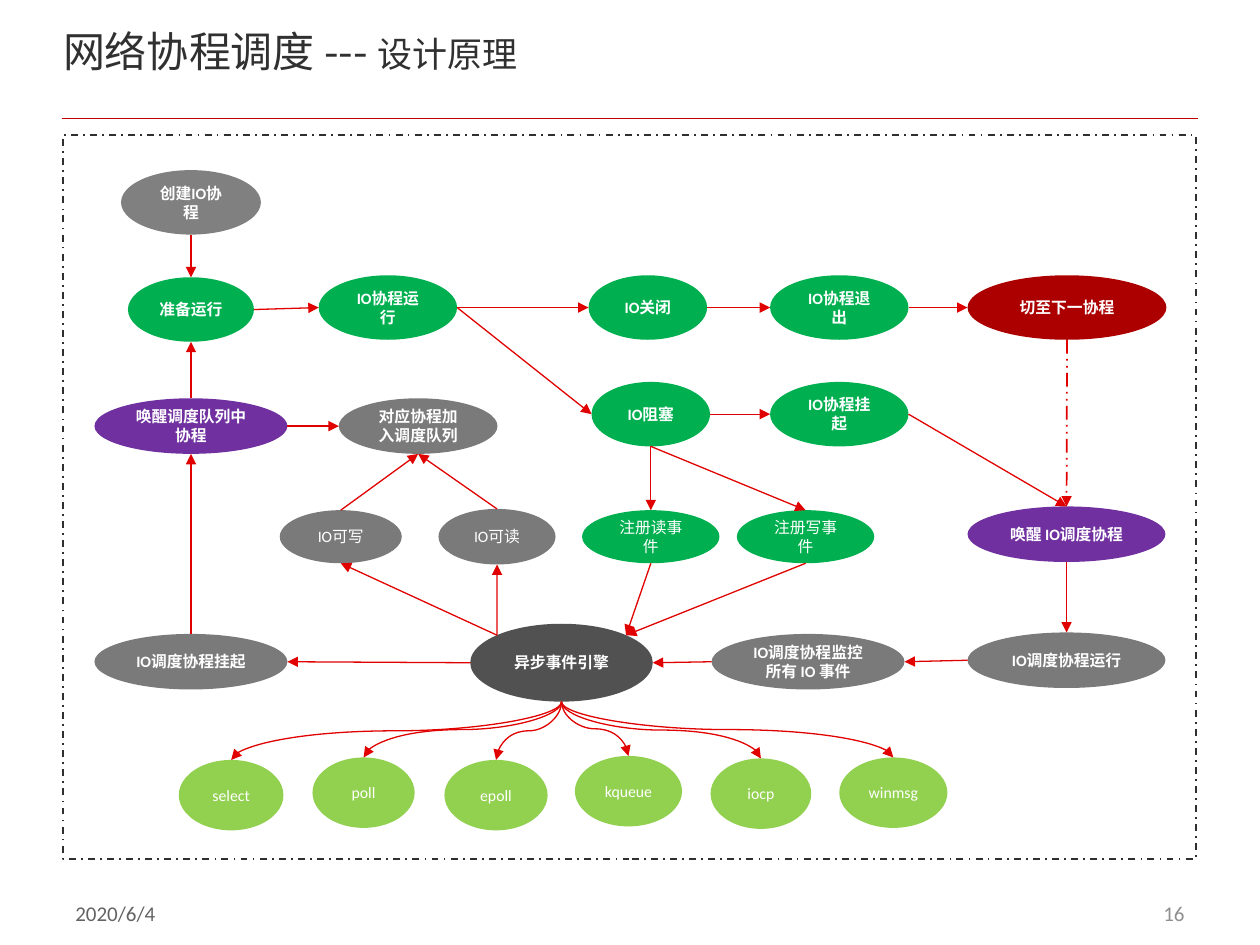
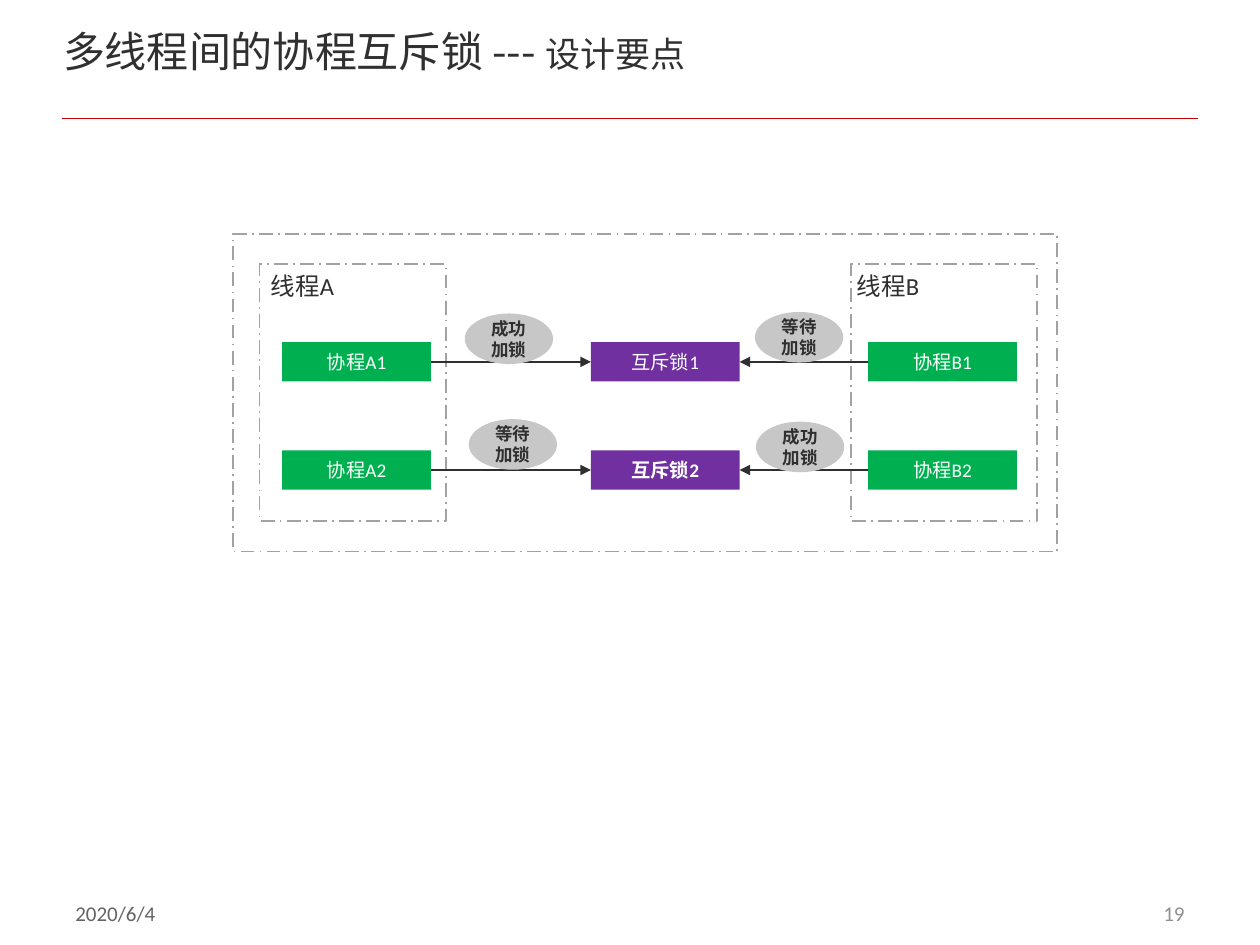
from math import cos, pi, sin

from lxml.etree import SubElement
from pptx import Presentation
from pptx.dml.color import RGBColor
from pptx.enum.dml import MSO_LINE as Dash
from pptx.enum.shapes import MSO_CONNECTOR as Conn, MSO_SHAPE as Shape
from pptx.enum.text import MSO_ANCHOR as Anchor, MSO_AUTO_SIZE as Fit, PP_ALIGN as Align
from pptx.oxml.ns import qn
from pptx.util import Cm, Pt

WHITE = RGBColor(0xFF, 0xFF, 0xFF)
INK = RGBColor(0x2F, 0x2F, 0x2F)
HEAD = RGBColor(0x30, 0x30, 0x30)
DATE = RGBColor(0x63, 0x63, 0x63)
PAGE = RGBColor(0x8F, 0x8F, 0x8F)
RULE = RGBColor(0xC0, 0x00, 0x00)
RED = RGBColor(0xE1, 0x00, 0x00)
DARK = RGBColor(0xAC, 0x00, 0x00)
GREEN = RGBColor(0x00, 0xB0, 0x50)
LIME = RGBColor(0x92, 0xD0, 0x50)
PURPLE = RGBColor(0x70, 0x30, 0xA0)
COAL = RGBColor(0x51, 0x51, 0x51)
GREY = RGBColor(0x7A, 0x7A, 0x7A)
STONE = RGBColor(0x80, 0x80, 0x80)
SILVER = RGBColor(0xC7, 0xC7, 0xC7)
EDGE = RGBColor(0xA2, 0xA2, 0xA2)
SANS = "Calibri"
CJK = "Noto Sans CJK SC"
TOP, NW, LEFT, BOTTOM, RIGHT, NE = 0, 1, 2, 4, 6, 7


def style(para, size, color, bold=False, align=None):
    para.alignment = align
    font = para.font
    font.name, font.size, font.bold = SANS, Pt(size), bold
    font.color.rgb = color


def label(slide, text, box, size, color, align=Align.LEFT, anchor=Anchor.TOP):
    frame = slide.shapes.add_textbox(*map(Cm, box)).text_frame
    frame.word_wrap = True
    frame.vertical_anchor = anchor
    frame.text = text
    style(frame.paragraphs[0], size, color, align=align)


def node(slide, kind, text, box, fill, size, color=WHITE, bold=False):
    shape = slide.shapes.add_shape(kind, *map(Cm, box))
    shape.shadow.inherit = False
    shape.fill.solid()
    shape.fill.fore_color.rgb = fill
    shape.line.fill.background()
    shape.text_frame.text = text
    style(shape.text_frame.paragraphs[0], size, color, bold, Align.CENTER)
    return shape


def frame(slide, box, color, dash):
    shape = slide.shapes.add_shape(Shape.RECTANGLE, *map(Cm, box))
    shape.shadow.inherit = False
    shape.fill.background()
    shape.line.color.rgb = color
    shape.line.width = Pt(1)
    shape.line.dash_style = dash


def stroke(slide, kind, ends, color, width):
    line = slide.shapes.add_connector(kind, *map(round, ends))
    line.line.color.rgb = color
    line.line.width = Pt(width)
    SubElement(line._element.spPr, qn("a:effectLst"))
    return line


def point(shape, site):
    turn = site * pi / 4
    x = shape.left + shape.width / 2 * (1 - sin(turn))
    y = shape.top + shape.height / 2 * (1 - cos(turn))
    return x, y


def finish(line, *ends):
    SubElement(line._element.spPr.find(qn("a:ln")), qn("a:tailEnd"), type="triangle")
    glue = line._element.nvCxnSpPr.cNvCxnSpPr
    for tag, (shape, site) in zip(("a:stCxn", "a:endCxn"), ends):
        step = 1 if shape.auto_shape_type == Shape.OVAL else 2
        SubElement(glue, qn(tag), id=str(shape.shape_id), idx=str(site // step))


def arrow(slide, start, end, color=RED, width=0.75, dash=None):
    line = stroke(slide, Conn.STRAIGHT, point(*start) + point(*end), color, width)
    if dash:
        line.line.dash_style = dash
    finish(line, start, end)


def curve(slide, start, end):
    (x1, y1), (x2, y2) = point(*start), point(*end)
    mx, my = (x1 + x2) / 2, (y1 + y2) / 2
    side = 1 if x2 > x1 else -1
    dx, dy = side * (y2 - y1) / 2, abs(x2 - x1) / 2
    line = stroke(slide, Conn.CURVE, (mx + dx, my - dy, mx - dx, my + dy), RED, 0.75)
    turn = 270 if side > 0 else 90
    line._element.spPr.find(qn("a:xfrm")).set("rot", str(turn * 60000))
    finish(line, start, end)


def base(deck, topic, part, page):
    slide = deck.slides.add_slide(deck.slide_layouts[5])
    title = slide.shapes.title
    title.left, title.top, title.width, title.height = map(Cm, (1.27, 0.51, 19.63, 1.78))
    text = title.text_frame
    text.margin_left = text.margin_right = text.margin_top = text.margin_bottom = 0
    text.vertical_anchor = Anchor.TOP
    text.auto_size = Fit.NONE
    para = text.paragraphs[0]
    para.alignment = Align.LEFT
    for words, size in ((topic + " --- ", 24), (part, 20)):
        run = para.add_run()
        run.text = words
        run.font.name, run.font.size = CJK, Pt(size)
        run.font.color.rgb = HEAD
        SubElement(run.font._element, qn("a:ea"), typeface=CJK)
    stroke(slide, Conn.STRAIGHT, map(Cm, (1.24, 2.39, 24.16, 2.39)), RULE, 1)
    label(slide, "2020/6/4", (1.27, 17.73, 5.92, 1.35), 12, DATE, anchor=Anchor.MIDDLE)
    label(slide, page, (18.21, 17.73, 5.92, 1.35), 12, PAGE, Align.RIGHT, Anchor.MIDDLE)
    return slide


def flow(slide, box):
    left, top = box[:2]
    frame(slide, box, INK, Dash.DASH_DOT)

    def oval(text, x, y, w, h, fill, bold=True):
        spot = (left + x - w / 2, top + y - h / 2, w, h)
        return node(slide, Shape.OVAL, text, spot, fill, 9, bold=bold)

    make = oval("创建IO协程", 2.58, 1.36, 2.82, 1.3, STONE)
    ready = oval("准备运行", 2.58, 3.52, 2.54, 1.3, GREEN)
    run = oval("IO协程运行", 6.55, 3.48, 2.79, 1.3, GREEN)
    close = oval("IO关闭", 11.79, 3.48, 2.39, 1.3, GREEN)
    leave = oval("IO协程退出", 15.65, 3.48, 2.79, 1.3, GREEN)
    other = oval("切至下一协程", 20.24, 3.48, 4.01, 1.3, DARK)
    block = oval("IO阻塞", 11.85, 5.63, 2.39, 1.3, GREEN)
    pause = oval("IO协程挂起", 15.65, 5.63, 2.79, 1.3, GREEN)
    rouse = oval("唤醒调度队列中协程", 2.58, 5.87, 3.89, 1.12, PURPLE)
    queue = oval("对应协程加入调度队列", 7.16, 5.87, 3.2, 1.12, GREY)
    write = oval("IO可写", 5.6, 8.1, 2.46, 1.07, GREY, False)
    read = oval("IO可读", 8.75, 8.1, 2.36, 1.12, GREY, False)
    onread = oval("注册读事件", 11.85, 8.1, 2.77, 1.07, GREEN, False)
    onwrite = oval("注册写事件", 14.97, 8.1, 2.77, 1.07, GREEN, False)
    wake = oval("唤醒 IO调度协程", 20.23, 8.05, 3.99, 1.12, PURPLE)
    hang = oval("IO调度协程挂起", 2.58, 10.62, 3.89, 1.12, GREY)
    engine = oval("异步事件引擎", 10.05, 10.64, 3.68, 1.57, COAL)
    watch = oval("IO调度协程监控所有 IO 事件", 15.02, 10.62, 3.89, 1.12, GREY)
    sched = oval("IO调度协程运行", 20.23, 10.59, 3.99, 1.12, GREY)

    links = (
        (make, BOTTOM, ready, TOP), (ready, RIGHT, run, LEFT),
        (run, RIGHT, close, LEFT), (run, RIGHT, block, LEFT),
        (close, RIGHT, leave, LEFT), (leave, RIGHT, other, LEFT),
        (block, RIGHT, pause, LEFT), (pause, RIGHT, wake, TOP),
        (block, BOTTOM, onread, TOP), (block, BOTTOM, onwrite, TOP),
        (onread, BOTTOM, engine, NE), (onwrite, BOTTOM, engine, NE),
        (wake, BOTTOM, sched, TOP), (sched, LEFT, watch, RIGHT),
        (watch, LEFT, engine, RIGHT), (engine, LEFT, hang, RIGHT),
        (engine, NW, read, BOTTOM), (engine, NW, write, BOTTOM),
        (read, TOP, queue, BOTTOM), (write, TOP, queue, BOTTOM),
        (hang, TOP, rouse, BOTTOM), (rouse, TOP, ready, BOTTOM),
        (rouse, RIGHT, queue, LEFT),
    )
    for one, out, two, into in links:
        arrow(slide, (one, out), (two, into))
    arrow(slide, (other, BOTTOM), (wake, TOP), width=1, dash=Dash.DASH_DOT_DOT)

    polls = (("select", 2.11, 13.31), ("poll", 2.06, 13.26), ("epoll", 2.08, 13.31),
             ("kqueue", 2.16, 13.23), ("iocp", 2.03, 13.28), ("winmsg", 2.18, 13.26))
    for i, (name, wide, y) in enumerate(polls):
        poll = oval(name, 3.39 + 2.67 * i, y, wide, 1.42, LIME, False)
        curve(slide, (engine, BOTTOM), (poll, TOP))


def mutex(slide, box):
    left, top = box[:2]
    frame(slide, box, EDGE, Dash.LONG_DASH_DOT)
    for name, x, tx in (("A", 0.53, 0.51), ("B", 12.45, 12.32)):
        frame(slide, (left + x, top + 0.61, 3.76, 5.18), EDGE, Dash.LONG_DASH_DOT)
        label(slide, "线程" + name, (left + tx, top + 0.61, 3.89, 0.86), 14, INK)

    def bar(text, x, y, fill, bold=False):
        spot = (left + x, top + y, 3, 0.79)
        return node(slide, Shape.RECTANGLE, text, spot, fill, 11, bold=bold)

    for i in range(2):
        y = 2.18 + 2.18 * i
        lock = bar(f"互斥锁{i + 1}", 7.21, y, PURPLE, i == 1)
        for name, x, out, into in (("A", 0.99, RIGHT, LEFT), ("B", 12.8, LEFT, RIGHT)):
            task = bar(f"协程{name}{i + 1}", x, y, GREEN)
            arrow(slide, (task, out), (lock, into), INK)

    for text, x, y in (("成功加锁", 4.67, 1.6), ("等待加锁", 4.75, 3.73),
                       ("等待加锁", 10.52, 1.57), ("成功加锁", 10.54, 3.78)):
        spot = (left + x, top + y, 1.78, 1.02)
        node(slide, Shape.OVAL, text, spot, SILVER, 10, INK, True)


def main():
    deck = Presentation()
    deck.slide_width, deck.slide_height = Cm(25.4), Cm(19.05)
    flow(base(deck, "网络协程调度", "设计原理", "16"), (1.27, 2.72, 22.84, 14.6))
    mutex(base(deck, "多线程间的协程互斥锁", "设计要点", "19"), (4.7, 4.72, 16.61, 6.4))
    deck.save("out.pptx")


if __name__ == "__main__":
    main()
